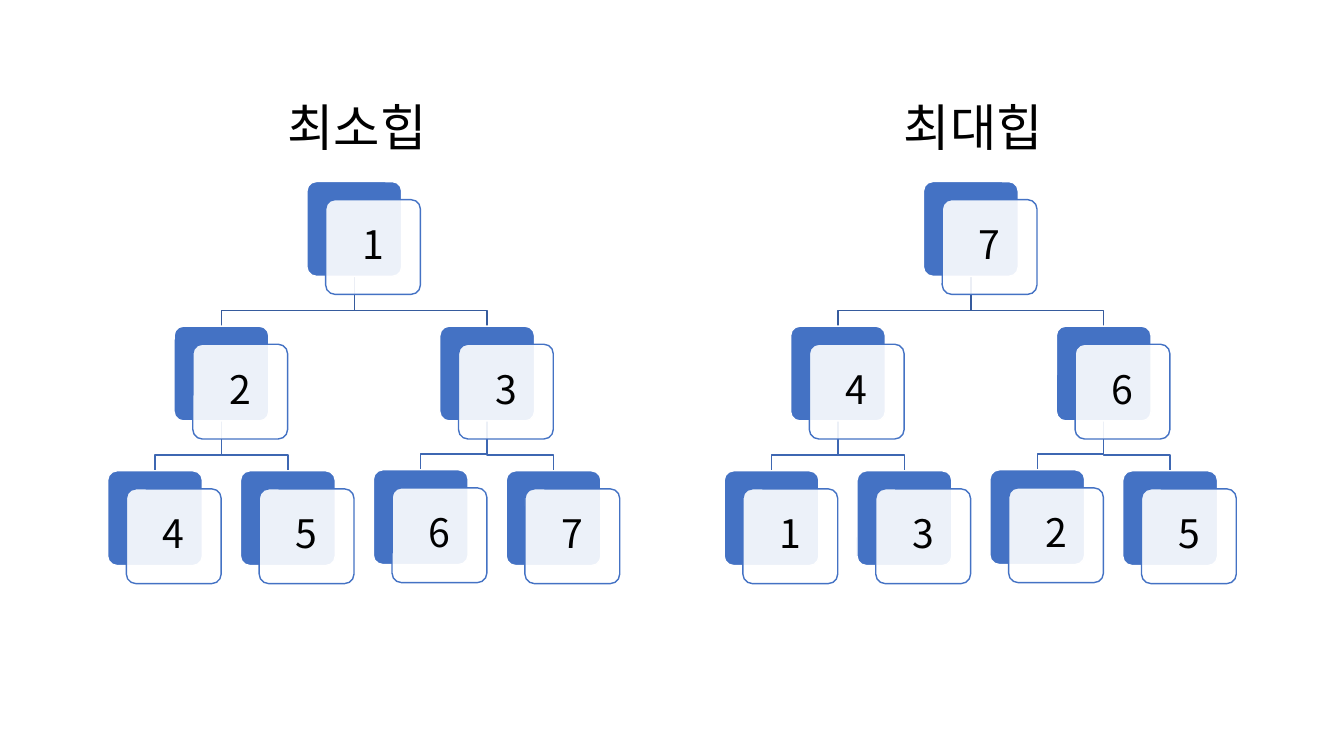
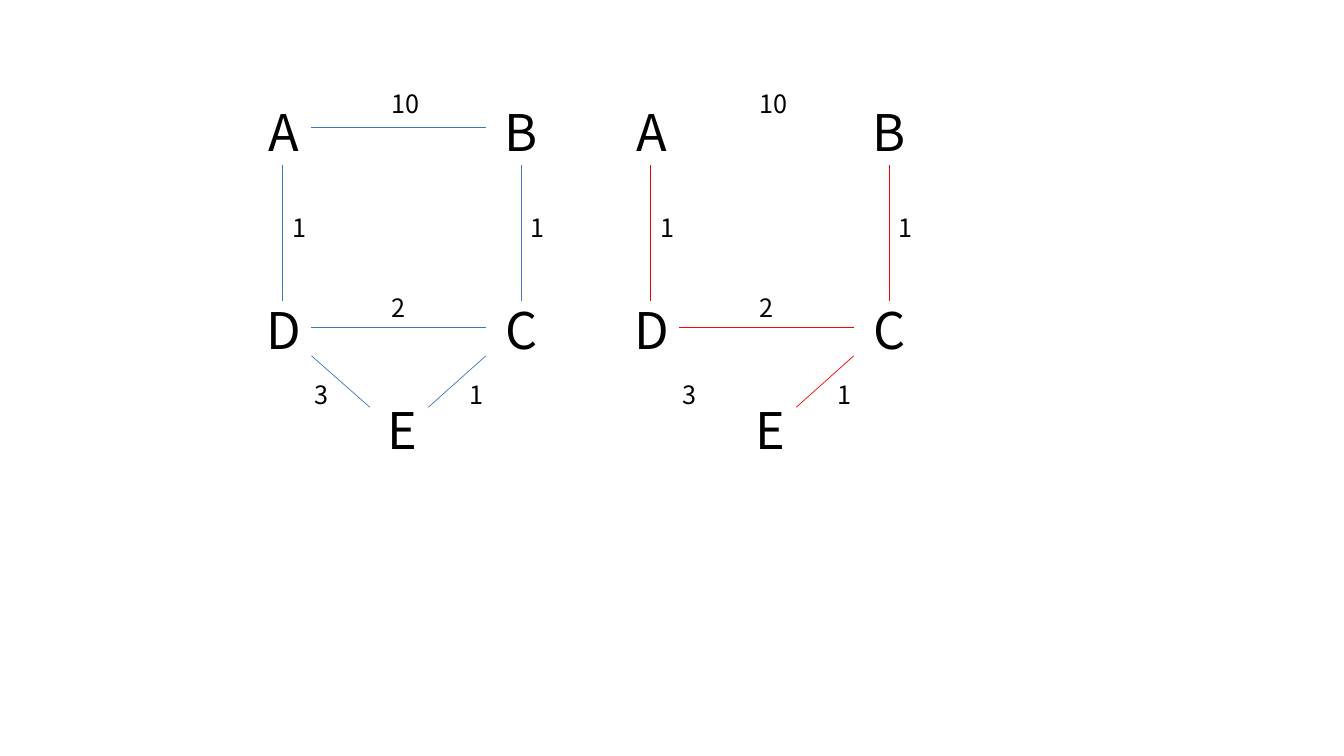
from dataclasses import dataclass
from typing import NamedTuple

from lxml import etree
from pptx import Presentation
from pptx import util as u
from pptx.dml.color import RGBColor
from pptx.enum import shapes, text
from pptx.oxml.ns import qn


@dataclass(frozen=True)
class Theme:
    font: str = "Noto Sans CJK KR"
    ink: str = "000000"
    paper: str = "FFFFFF"
    accent: str = "4472C4"
    highlight: str = "FF0000"
    root_branch: str = "365B9D"
    leaf_branch: str = "3E67B2"
    title_size: float = 36
    node_size: float = 28
    label_size: float = 18
    card_line: float = 1
    edge_line: float = 0.5
    card_opacity: int = 90000


THEME = Theme()


class Point(NamedTuple):
    x: float
    y: float


class Heap(NamedTuple):
    title: str
    left: float
    values: tuple[int, ...]


class Edge(NamedTuple):
    start: Point
    end: Point
    weight: str
    label: Point


class Graph(NamedTuple):
    left: float
    colour: str
    drawn: tuple[str, ...]


HEAPS = (
    Heap("최소힙", 76.9, (1, 2, 3, 4, 5, 6, 7)),
    Heap("최대힙", 517.3, (7, 4, 6, 1, 3, 2, 5)),
)
CARD = 67.7
CARD_SHIFT = Point(13.4, 12.9)
CARD_INSET = 8.6
LEAF_PITCH = 94.9
LEVEL_PITCH = 103.3
TREE_TOP = 129.7
ELBOW_RISE = 11.3
RAISED_NODE = 5
RAISE = 0.7
TITLE_SHIFT = 121.2
TITLE_TOP = 64.8

GRAPHS = (
    Graph(160, THEME.accent, ("DE", "CE", "DC", "AB", "AD", "BC")),
    Graph(422.8, THEME.highlight, ("CE", "DC", "AD", "BC")),
)
GRAPH_TOP = 57
CELL_WIDTH = 85
CELL_HEIGHT = 70.9
VERTICES = ("A B", "   ", "D C", " E ")
EDGES = {
    "AD": Edge(Point(41.6, 61.1), Point(41.6, 158.3), "1", Point(41.6, 91.3)),
    "BC": Edge(Point(212.2, 61.1), Point(212.2, 158.3), "1", Point(212.2, 91.3)),
    "AB": Edge(Point(62.5, 33.7), Point(187, 33.7), "10", Point(112.9, 2.8)),
    "DC": Edge(Point(62.5, 177), Point(187, 177), "2", Point(112.9, 148.2)),
    "CE": Edge(Point(187, 197.2), Point(146, 233.9), "1", Point(168.3, 210.1)),
    "DE": Edge(Point(62.5, 197.2), Point(104.2, 233.9), "3", Point(57.4, 210.1)),
}


def rgb(colour: str) -> RGBColor:
    return RGBColor.from_string(colour)


def write(frame, words: str, size: float, centred: bool = False) -> None:
    frame.text = words
    para = frame.paragraphs[0]
    if centred:
        para.alignment = text.PP_ALIGN.CENTER
    for span in para.runs:
        span.font.size = u.Pt(size)
        span.font.name = THEME.font
        span.font.color.rgb = rgb(THEME.ink)
        east_asian = etree.SubElement(span.font._element, qn("a:ea"))
        east_asian.set("typeface", THEME.font)


def add_label(page, words: str, at: Point, width: float, height: float, size: float) -> None:
    box = page.shapes.add_textbox(u.Pt(at.x), u.Pt(at.y), u.Pt(width), u.Pt(height))
    box.text_frame.word_wrap = False
    box.text_frame.auto_size = text.MSO_AUTO_SIZE.SHAPE_TO_FIT_TEXT
    write(box.text_frame, words, size)


def add_card(page, at: Point, fill: str, line: str):
    card = page.shapes.add_shape(
        shapes.MSO_SHAPE.ROUNDED_RECTANGLE, u.Pt(at.x), u.Pt(at.y), u.Pt(CARD), u.Pt(CARD)
    )
    card.adjustments[0] = 0.1
    card.shadow.inherit = False
    card.fill.solid()
    card.fill.fore_color.rgb = rgb(fill)
    card.line.color.rgb = rgb(line)
    card.line.width = u.Pt(THEME.card_line)
    return card


def add_node(page, at: Point, value: int) -> None:
    add_card(page, at, THEME.accent, THEME.paper)
    front_at = Point(at.x + CARD_SHIFT.x, at.y + CARD_SHIFT.y)
    front = add_card(page, front_at, THEME.paper, THEME.accent)
    colour = front.fill._xPr.find(qn("a:solidFill"))[0]
    etree.SubElement(colour, qn("a:alpha")).set("val", str(THEME.card_opacity))
    frame = front.text_frame
    frame.margin_left = frame.margin_right = u.Pt(CARD_INSET)
    frame.margin_top = frame.margin_bottom = u.Pt(CARD_INSET)
    frame.vertical_anchor = text.MSO_ANCHOR.MIDDLE
    write(frame, str(value), THEME.node_size, centred=True)
    frame.paragraphs[0].line_spacing = 0.9


def add_branch(page, parent: Point, child: Point, colour: str) -> None:
    start = Point(parent.x + CARD / 2, parent.y + CARD)
    end = Point(child.x + CARD / 2, child.y)
    elbow = end.y - ELBOW_RISE
    corners = (Point(start.x, elbow), Point(end.x, elbow), end)
    builder = page.shapes.build_freeform(u.Pt(start.x), u.Pt(start.y))
    builder.add_line_segments([(u.Pt(p.x), u.Pt(p.y)) for p in corners], close=False)
    branch = builder.convert_to_shape()
    branch.shadow.inherit = False
    branch.fill.background()
    branch.line.color.rgb = rgb(colour)
    branch.line.width = u.Pt(THEME.card_line)


def node_place(left: float, index: int) -> Point:
    level = (index + 1).bit_length() - 1
    slot = index + 1 - 2**level
    leaves = 4 / 2**level
    x = left + LEAF_PITCH * (leaves * (slot + 0.5) - 0.5)
    y = TREE_TOP + LEVEL_PITCH * level
    return Point(x, y - RAISE if index == RAISED_NODE else y)


def draw_heap(page, heap: Heap) -> None:
    places = [node_place(heap.left, index) for index in range(len(heap.values))]
    for index in range(len(places) - 1, 0, -1):
        colour = THEME.root_branch if index < 3 else THEME.leaf_branch
        add_branch(page, places[(index - 1) // 2], places[index], colour)
    for place, value in zip(places, heap.values):
        add_node(page, place, value)
    title_at = Point(heap.left + TITLE_SHIFT, TITLE_TOP)
    add_label(page, heap.title, title_at, 123.8, 51, THEME.title_size)


def add_vertices(page, left: float) -> None:
    rows, columns = len(VERTICES), len(VERTICES[0])
    table = page.shapes.add_table(
        rows, columns, u.Pt(left), u.Pt(GRAPH_TOP),
        u.Pt(CELL_WIDTH * columns), u.Pt(CELL_HEIGHT * rows),
    ).table
    table.first_row = table.horz_banding = False
    for row, names in enumerate(VERTICES):
        for column, name in enumerate(names):
            cell = table.cell(row, column)
            cell.fill.solid()
            cell.fill.fore_color.rgb = rgb(THEME.paper)
            cell.vertical_anchor = text.MSO_ANCHOR.MIDDLE
            write(cell.text_frame, name.strip(), THEME.title_size, centred=True)


def add_edge(page, edge: Edge, left: float, colour: str) -> None:
    line = page.shapes.add_connector(
        shapes.MSO_CONNECTOR.STRAIGHT,
        u.Pt(left + edge.start.x), u.Pt(GRAPH_TOP + edge.start.y),
        u.Pt(left + edge.end.x), u.Pt(GRAPH_TOP + edge.end.y),
    )
    line.line.color.rgb = rgb(colour)
    line.line.width = u.Pt(THEME.edge_line)
    etree.SubElement(line._element.spPr, qn("a:effectLst"))


def draw_graph(page, graph: Graph) -> None:
    add_vertices(page, graph.left)
    for name in graph.drawn:
        add_edge(page, EDGES[name], graph.left, graph.colour)
    for edge in EDGES.values():
        at = Point(graph.left + edge.label.x, GRAPH_TOP + edge.label.y)
        width = 14.4 + 10.1 * len(edge.weight)
        add_label(page, edge.weight, at, width, 28.8, THEME.label_size)


def main() -> None:
    deck = Presentation()
    deck.slide_width, deck.slide_height = u.Pt(960), u.Pt(540)
    blank = deck.slide_layouts[6]
    heap_page = deck.slides.add_slide(blank)
    for heap in HEAPS:
        draw_heap(heap_page, heap)
    graph_page = deck.slides.add_slide(blank)
    for graph in GRAPHS:
        draw_graph(graph_page, graph)
    deck.save("out.pptx")


if __name__ == "__main__":
    main()
